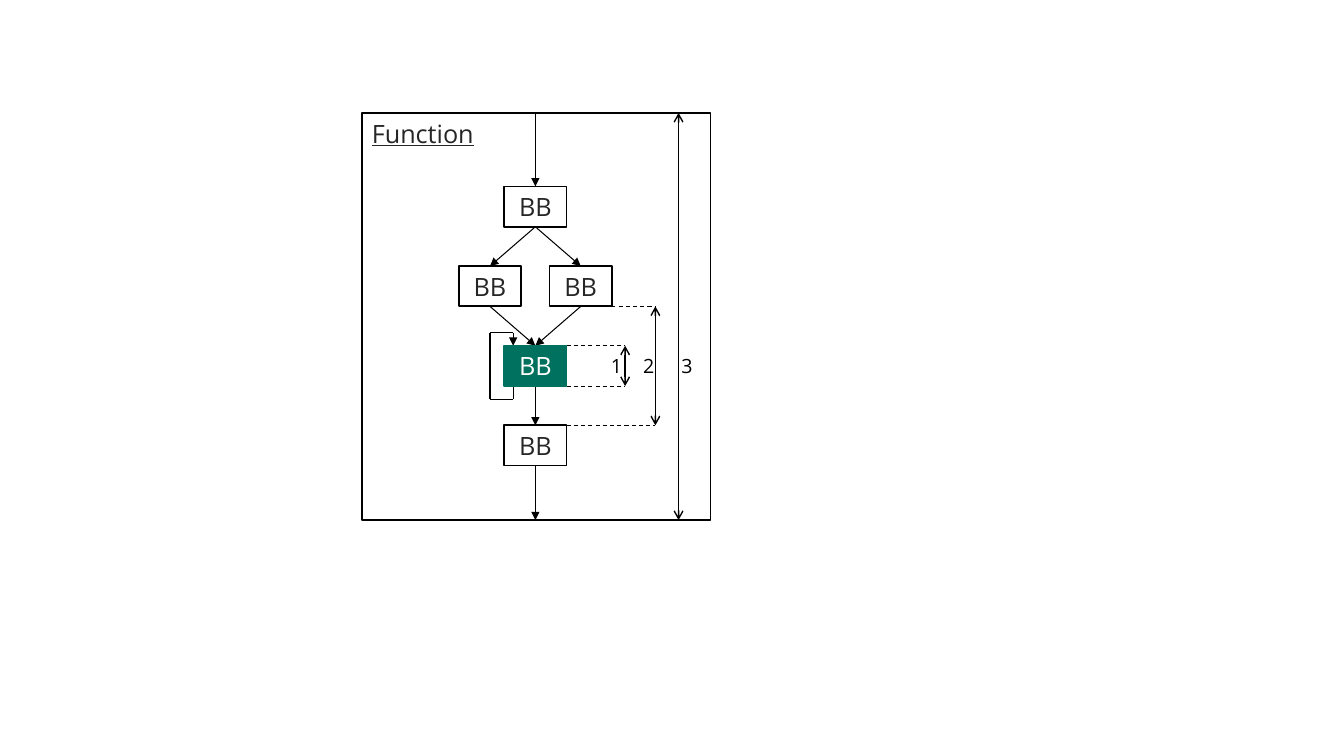
"""Build a control-flow slide that shows three scopes around a basic block."""
import dataclasses
import itertools
import typing

import lxml.etree
import pptx
import pptx.dml.color
import pptx.enum.dml
import pptx.enum.shapes
import pptx.enum.text
import pptx.oxml.ns
import pptx.shapes.autoshape
import pptx.slide
import pptx.util

Inches = pptx.util.Inches
Color = pptx.dml.color.RGBColor
Align = pptx.enum.text.PP_ALIGN
Anchor = pptx.enum.text.MSO_ANCHOR


@dataclasses.dataclass(frozen=True)
class Theme:
    font: str = "Open Sans"
    white: Color = Color(0xFF, 0xFF, 0xFF)
    black: Color = Color(0, 0, 0)
    ink: Color = Color(0x26, 0x26, 0x26)
    green: Color = Color(0x00, 0x71, 0x5E)
    label_size: int = 18
    number_size: int = 14
    thin: float = 0.75
    medium: float = 1
    thick: float = 1.25


class Point(typing.NamedTuple):
    x: float
    y: float


@dataclasses.dataclass(frozen=True)
class Block:
    center: float
    row: int
    highlighted: bool = False

    @property
    def top(self) -> Point:
        return Point(self.center, FIRST_TOP + self.row * ROW_STEP)

    @property
    def bottom(self) -> Point:
        return Point(self.center, self.top.y + BLOCK_HEIGHT)

    @property
    def right(self) -> float:
        return self.center + BLOCK_WIDTH / 2


class Scope(typing.NamedTuple):
    number: str
    x: float
    top: float
    bottom: float
    number_left: float


THEME = Theme()
BLOCK_WIDTH, BLOCK_HEIGHT = 0.62, 0.4
FIRST_TOP, ROW_STEP = 1.85, 0.79
CENTER, BRANCH = 5.31, 0.45
FRAME_LEFT, FRAME_TOP, FRAME_WIDTH, FRAME_HEIGHT = 3.59, 1.12, 3.46, 4.04
FRAME_BOTTOM = FRAME_TOP + FRAME_HEIGHT

ENTRY = Block(CENTER, 0)
LEFT = Block(CENTER - BRANCH, 1)
RIGHT = Block(CENTER + BRANCH, 1)
LOOP = Block(CENTER, 2, highlighted=True)
EXIT = Block(CENTER, 3)
BLOCKS = (ENTRY, LEFT, RIGHT, LOOP, EXIT)
EDGES = ((ENTRY, LEFT), (ENTRY, RIGHT), (LEFT, LOOP), (RIGHT, LOOP), (LOOP, EXIT))
SCOPES = (
    Scope("1", 6.2, LOOP.top.y, LOOP.bottom.y, 5.96),
    Scope("2", 6.5, RIGHT.bottom.y, EXIT.top.y, 6.28),
    Scope("3", 6.73, FRAME_TOP, FRAME_BOTTOM, 6.66),
)
GUIDES = (
    (LOOP.right, SCOPES[0].x, LOOP.top.y),
    (LOOP.right, SCOPES[0].x, LOOP.bottom.y),
    (RIGHT.right - 0.15, SCOPES[1].x, RIGHT.bottom.y),
    (EXIT.right, SCOPES[1].x, EXIT.top.y),
)
LOOP_X, LOOP_GAP = 5.09, 0.13
LOOP_ROUTE = (
    Point(LOOP_X, LOOP.bottom.y),
    Point(LOOP_X, LOOP.bottom.y + LOOP_GAP),
    Point(LEFT.center, LOOP.bottom.y + LOOP_GAP),
    Point(LEFT.center, LOOP.top.y - LOOP_GAP),
    Point(LOOP_X, LOOP.top.y - LOOP_GAP),
    Point(LOOP_X, LOOP.top.y),
)


def draw_line(slide: pptx.slide.Slide, start: Point, end: Point, width: float = THEME.thin,
              head: str = "", tail: str = "", dashed: bool = False) -> None:
    connector = slide.shapes.add_connector(
        pptx.enum.shapes.MSO_CONNECTOR.STRAIGHT,
        Inches(start.x), Inches(start.y), Inches(end.x), Inches(end.y))
    connector.line.color.rgb = THEME.black
    connector.line.width = pptx.util.Pt(width)
    if dashed:
        connector.line.dash_style = pptx.enum.dml.MSO_LINE.DASH
    qualified = pptx.oxml.ns.qn
    outline = connector.line._get_or_add_ln()
    for tag, arrow in (("a:headEnd", head), ("a:tailEnd", tail)):
        if arrow:
            lxml.etree.SubElement(outline, qualified(tag), type=arrow)
    lxml.etree.SubElement(outline.getparent(), qualified("a:effectLst"))


def write_text(shape: pptx.shapes.autoshape.Shape, text: str, size: int, color: Color,
               align: Align = Align.LEFT, anchor: Anchor = Anchor.MIDDLE,
               underline: bool = False) -> None:
    shape.text_frame.vertical_anchor = anchor
    paragraph = shape.text_frame.paragraphs[0]
    paragraph.alignment = align
    run = paragraph.add_run()
    run.text = text
    run.font.name = THEME.font
    run.font.size = pptx.util.Pt(size)
    run.font.color.rgb = color
    run.font.underline = underline


def draw_rectangle(slide: pptx.slide.Slide, left: float, top: float, width: float, height: float,
                   fill: Color, line: Color, line_width: float) -> pptx.shapes.autoshape.Shape:
    shape = slide.shapes.add_shape(
        pptx.enum.shapes.MSO_SHAPE.RECTANGLE,
        Inches(left), Inches(top), Inches(width), Inches(height))
    shape.shadow.inherit = False
    shape.fill.solid()
    shape.fill.fore_color.rgb = fill
    shape.line.color.rgb = line
    shape.line.width = pptx.util.Pt(line_width)
    return shape


def draw_block(slide: pptx.slide.Slide, block: Block) -> None:
    fill, line, color = (
        (THEME.green, THEME.green, THEME.white) if block.highlighted
        else (THEME.white, THEME.black, THEME.ink))
    shape = draw_rectangle(slide, block.center - BLOCK_WIDTH / 2, block.top.y,
                           BLOCK_WIDTH, BLOCK_HEIGHT, fill, line, THEME.thick)
    shape.text_frame.margin_top = shape.text_frame.margin_bottom = 0
    write_text(shape, "BB", THEME.label_size, color, Align.CENTER)


def draw_scope(slide: pptx.slide.Slide, scope: Scope) -> None:
    draw_line(slide, Point(scope.x, scope.top), Point(scope.x, scope.bottom),
              THEME.medium, head="arrow", tail="arrow")
    number = slide.shapes.add_textbox(
        Inches(scope.number_left), Inches(3.46), Inches(0.31), Inches(0.34))
    number.text_frame.word_wrap = False
    write_text(number, scope.number, THEME.number_size, THEME.black)


def main() -> None:
    presentation = pptx.Presentation()
    presentation.slide_width, presentation.slide_height = Inches(13.33), Inches(7.5)
    slide = presentation.slides.add_slide(presentation.slide_layouts[6])
    frame = draw_rectangle(slide, FRAME_LEFT, FRAME_TOP, FRAME_WIDTH, FRAME_HEIGHT,
                           THEME.white, THEME.black, THEME.medium)
    write_text(frame, "Function", THEME.label_size, THEME.ink,
               anchor=Anchor.TOP, underline=True)
    for source, target in EDGES:
        draw_line(slide, source.bottom, target.top, tail="triangle")
    draw_line(slide, Point(CENTER, FRAME_TOP), ENTRY.top, tail="triangle")
    draw_line(slide, EXIT.bottom, Point(CENTER, FRAME_BOTTOM), tail="triangle")
    for left, right, y in GUIDES:
        draw_line(slide, Point(left, y), Point(right, y), dashed=True)
    for scope in SCOPES:
        draw_scope(slide, scope)
    for start, end in itertools.pairwise(LOOP_ROUTE):
        draw_line(slide, start, end, tail="triangle" if end == LOOP_ROUTE[-1] else "")
    for block in BLOCKS:
        draw_block(slide, block)
    presentation.save("out.pptx")


main()
